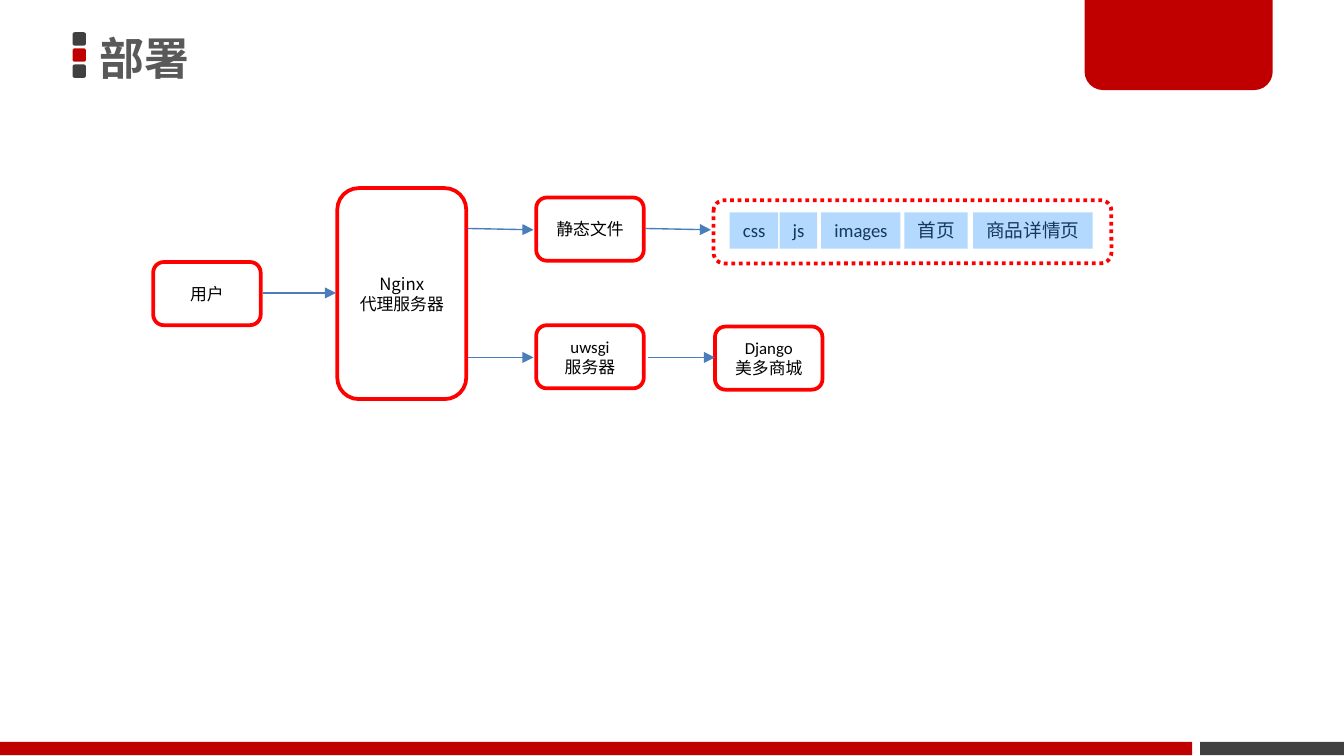
import pptx
import pptx.util
import pptx.dml.color
import pptx.enum.dml
import pptx.enum.shapes
import pptx.enum.text
import pptx.oxml
import pptx.oxml.ns

Inches = pptx.util.Inches
SHAPES = pptx.enum.shapes.MSO_SHAPE
ALIGN = pptx.enum.text.PP_ALIGN
ANCHOR = pptx.enum.text.MSO_ANCHOR
CJK_FONT = "Noto Sans CJK SC"
COLORS = {
    "red": "C00000",
    "dark": "404040",
    "title": "595959",
    "outline": "FF0000",
    "white": "FFFFFF",
    "black": "000000",
    "arrow": "4A7EBB",
    "tag": "B3D9FF",
    "tag_text": "17375E",
}


def add_box(kind, left, top, width, height, fill, line=None):
    box = slide.shapes.add_shape(kind, Inches(left), Inches(top), Inches(width), Inches(height))
    box.shadow.inherit = False
    box.fill.solid()
    box.fill.fore_color.rgb = pptx.dml.color.RGBColor.from_string(COLORS[fill])
    if line:
        box.line.color.rgb = pptx.dml.color.RGBColor.from_string(COLORS[line])
        box.line.width = pptx.util.Pt(2)
    else:
        box.line.fill.background()
    return box


def write_text(box, text, size=9, font=CJK_FONT, color="black", bold=False,
               align=ALIGN.CENTER, anchor=ANCHOR.MIDDLE, wrap=True, spacing=None):
    frame = box.text_frame
    frame.word_wrap = wrap
    frame.vertical_anchor = anchor
    for index, words in enumerate(text.split("\n")):
        para = frame.add_paragraph() if index else frame.paragraphs[0]
        para.alignment = align
        para.line_spacing = spacing
        span = para.add_run()
        span.text = words
        span.font.size = pptx.util.Pt(size)
        span.font.bold = bold
        span.font.color.rgb = pptx.dml.color.RGBColor.from_string(COLORS[color])
        span.font.name = font
        east_asian = pptx.oxml.parse_xml(
            f'<a:ea {pptx.oxml.ns.nsdecls("a")} typeface="{CJK_FONT}"/>')
        span.font._element.append(east_asian)


deck = pptx.Presentation()
deck.slide_width = Inches(10)
deck.slide_height = Inches(10) * 9 // 16
slide = deck.slides.add_slide(deck.slide_layouts[6])

for index, color in enumerate(["dark", "red", "dark"]):
    add_box(SHAPES.ROUNDED_RECTANGLE, 0.54, 0.24 + 0.12 * index, 0.1, 0.1, color)
add_box(SHAPES.RECTANGLE, 8.93, 5.52, 1.07, 0.1, "dark")
add_box(SHAPES.RECTANGLE, 0, 5.52, 8.87, 0.1, "red")
corner_tab = add_box(SHAPES.ROUND_2_SAME_RECTANGLE, 8.07, -0.02, 1.4, 0.69, "red")
corner_tab.adjustments[0] = 0
corner_tab.adjustments[1] = 0.2

nodes = [
    ("静态文件", 3.99, 1.47, 0.8, 0.47, CJK_FONT),
    ("uwsgi\n服务器", 3.99, 2.42, 0.8, 0.47, "Calibri"),
    ("用户", 1.14, 1.95, 0.8, 0.47, CJK_FONT),
    ("Nginx\n代理服务器", 2.51, 1.4, 0.96, 1.57, CJK_FONT),
    ("Django\n美多商城", 5.32, 2.43, 0.8, 0.47, "Calibri"),
]
for text, left, top, width, height, font in nodes:
    node = add_box(SHAPES.ROUNDED_RECTANGLE, left, top, width, height, "white", "outline")
    write_text(node, text, font=font)

arrows = [(1.96, 2.5, 2.18, 2.18), (3.48, 3.97, 1.7, 1.71), (3.48, 3.97, 2.66, 2.66),
          (4.8, 5.29, 1.7, 1.71), (4.82, 5.32, 2.66, 2.66)]
for left, right, start, end in arrows:
    arrow = slide.shapes.add_connector(
        pptx.enum.shapes.MSO_CONNECTOR.STRAIGHT,
        Inches(left), Inches(start), Inches(right), Inches(end))
    arrow.line.color.rgb = pptx.dml.color.RGBColor.from_string(COLORS["arrow"])
    arrow.line.width = pptx.util.Pt(0.75)
    namespace = pptx.oxml.ns.nsdecls("a")
    arrow.line._get_or_add_ln().append(
        pptx.oxml.parse_xml(f'<a:tailEnd {namespace} type="triangle"/>'))
    arrow._element.spPr.append(pptx.oxml.parse_xml(f'<a:effectLst {namespace}/>'))

static_group = add_box(SHAPES.ROUNDED_RECTANGLE, 5.31, 1.49, 2.96, 0.47, "white", "outline")
static_group.line.dash_style = pptx.enum.dml.MSO_LINE.ROUND_DOT

tags = [("css", 5.43, 0.36), ("js", 5.8, 0.28), ("images", 6.11, 0.59),
        ("首页", 6.73, 0.47), ("商品详情页", 7.24, 0.89)]
for text, left, width in tags:
    tag = add_box(SHAPES.RECTANGLE, left, 1.58, width, 0.27, "tag")
    write_text(tag, text, size=10, font="Calibri", color="tag_text",
               align=ALIGN.LEFT, anchor=ANCHOR.TOP, wrap=False)

title = slide.shapes.add_textbox(Inches(0.66), Inches(0.01), Inches(5.02), Inches(0.89))
title.text_frame.margin_left = title.text_frame.margin_right = Inches(0.08)
title.text_frame.margin_top = title.text_frame.margin_bottom = Inches(0.04)
write_text(title, "部署", size=24, color="title", bold=True, align=ALIGN.LEFT, spacing=0.9)

deck.save("out.pptx")
